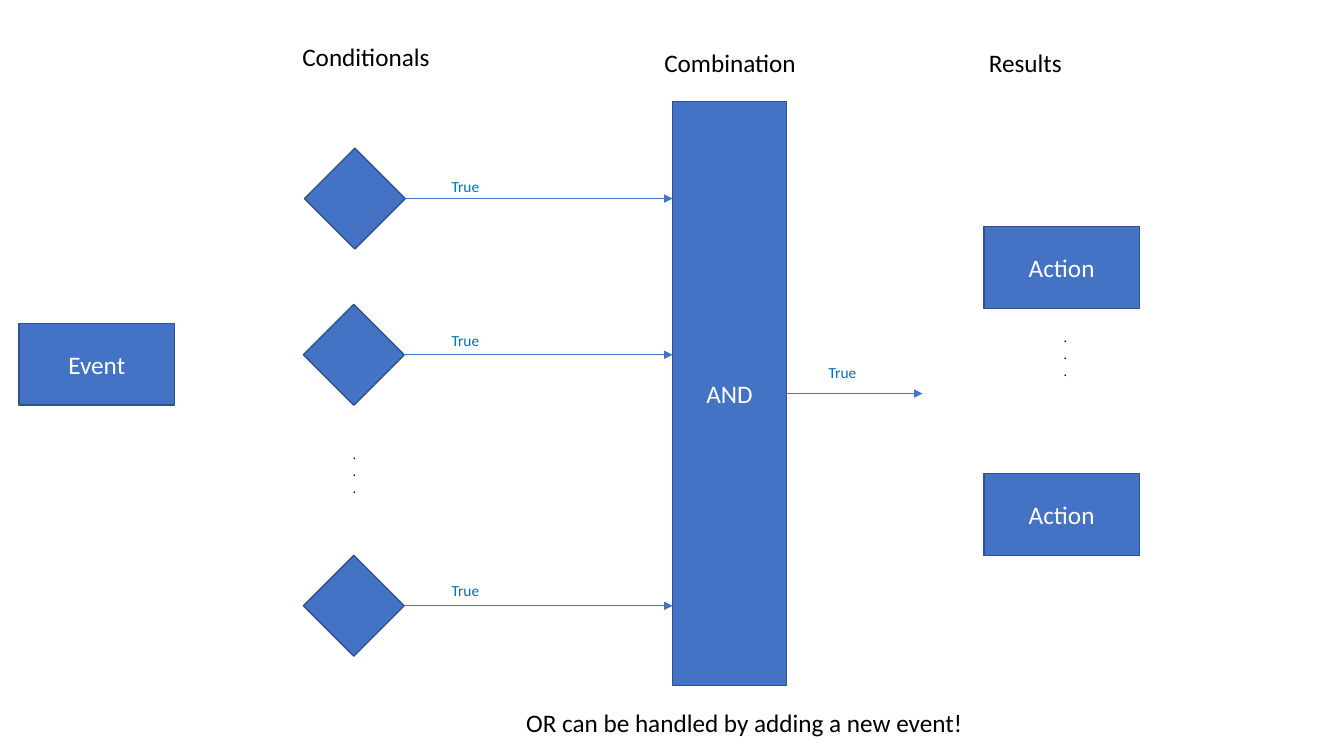
from lxml.etree import SubElement
from pptx import Presentation
from pptx.dml.color import RGBColor
from pptx.enum.shapes import MSO_CONNECTOR as Connector, MSO_SHAPE as Shape
from pptx.enum.text import MSO_ANCHOR as Anchor, PP_ALIGN as Align
from pptx.oxml.ns import qn
from pptx.util import Inches, Pt

COLORS = {
    "fill": "4472C4",
    "outline": "2F528F",
    "label": "0070C0",
    "text": "000000",
    "on_fill": "FFFFFF",
}
ACTION_SIZE = (1.54, 0.81)
DIAMOND = 1.0


def color(name):
    return RGBColor.from_string(COLORS[name])


def set_font(paragraph, size, color_name):
    paragraph.font.name = "Calibri"
    paragraph.font.size = Pt(size)
    paragraph.font.color.rgb = color(color_name)


def add_node(slide, kind, left, top, width, height, text=""):
    node = slide.shapes.add_shape(
        kind, Inches(left), Inches(top), Inches(width), Inches(height))
    node.shadow.inherit = False
    node.fill.solid()
    node.fill.fore_color.rgb = color("fill")
    node.line.color.rgb = color("outline")
    node.line.width = Pt(1)
    if text:
        frame = node.text_frame
        frame.text = text
        frame.vertical_anchor = Anchor.MIDDLE
        frame.paragraphs[0].alignment = Align.CENTER
        set_font(frame.paragraphs[0], 18, "on_fill")


def add_text(slide, text, left, top, width, height=0.4, size=18, color_name="text"):
    frame = slide.shapes.add_textbox(
        Inches(left), Inches(top), Inches(width), Inches(height)).text_frame
    frame.word_wrap = False
    frame.text = text
    for paragraph in frame.paragraphs:
        set_font(paragraph, size, color_name)


def add_ellipsis(slide, left, top):
    add_text(slide, ".\n.\n.", left, top, 0.24, 0.61, size=10)


def add_true_arrow(slide, start, end, y, label_left, label_top):
    arrow = slide.shapes.add_connector(
        Connector.STRAIGHT, Inches(start), Inches(y), Inches(end), Inches(y))
    arrow.line.color.rgb = color("fill")
    arrow.line.width = Pt(0.5)
    SubElement(arrow.line._get_or_add_ln(), qn("a:tailEnd"), type="triangle")
    SubElement(arrow._element.spPr, qn("a:effectLst"))
    add_text(slide, "True", label_left, label_top, 0.49, 0.29, 11, "label")


def add_event(slide, left, top):
    add_node(slide, Shape.RECTANGLE, left, top, *ACTION_SIZE, "Event")


def add_conditionals(slide, left, top, arrow_end):
    add_text(slide, "Conditionals", left - 0.11, top, 1.48)
    # Each condition: diamond shift, centre line, label top
    for shift, middle, label_top in [
            (0.01, 1.61, 1.35), (0, 3.16, 2.88), (0, 5.65, 5.36)]:
        add_node(slide, Shape.DIAMOND, left + shift, top + middle - DIAMOND / 2,
                 DIAMOND, DIAMOND)
        add_true_arrow(slide, left + DIAMOND + 0.01, arrow_end, top + middle,
                       left + 1.37, top + label_top)
    add_ellipsis(slide, left + 0.39, top + 4.01)


def add_combination(slide, left, top, width, height):
    add_text(slide, "Combination", left - 0.18, top - 0.59, 1.52)
    add_node(slide, Shape.RECTANGLE, left, top, width, height, "AND")
    right, middle = left + width, top + height / 2
    add_true_arrow(slide, right, right + 1.35, middle, right + 0.32, middle - 0.35)


def add_results(slide, left, top):
    add_text(slide, "Results", left - 0.05, top, 0.93)
    for offset in (1.83, 4.28):
        add_node(slide, Shape.RECTANGLE, left, top + offset, *ACTION_SIZE, "Action")
    add_ellipsis(slide, left + 0.69, top + 2.79)


def main():
    deck = Presentation()
    deck.slide_width, deck.slide_height = Inches(13.33), Inches(7.5)
    slide = deck.slides.add_slide(deck.slide_layouts[6])

    # Flow from left to right
    add_event(slide, 0.19, 3.21)
    add_conditionals(slide, 3.01, 0.36, arrow_end=6.67)
    add_combination(slide, 6.67, 1.01, 1.13, 5.79)
    add_results(slide, 9.76, 0.42)

    # Closing remark
    add_text(slide, "OR can be handled by adding a new event!", 5.12, 6.97, 4.64)
    deck.save("out.pptx")


if __name__ == "__main__":
    main()
